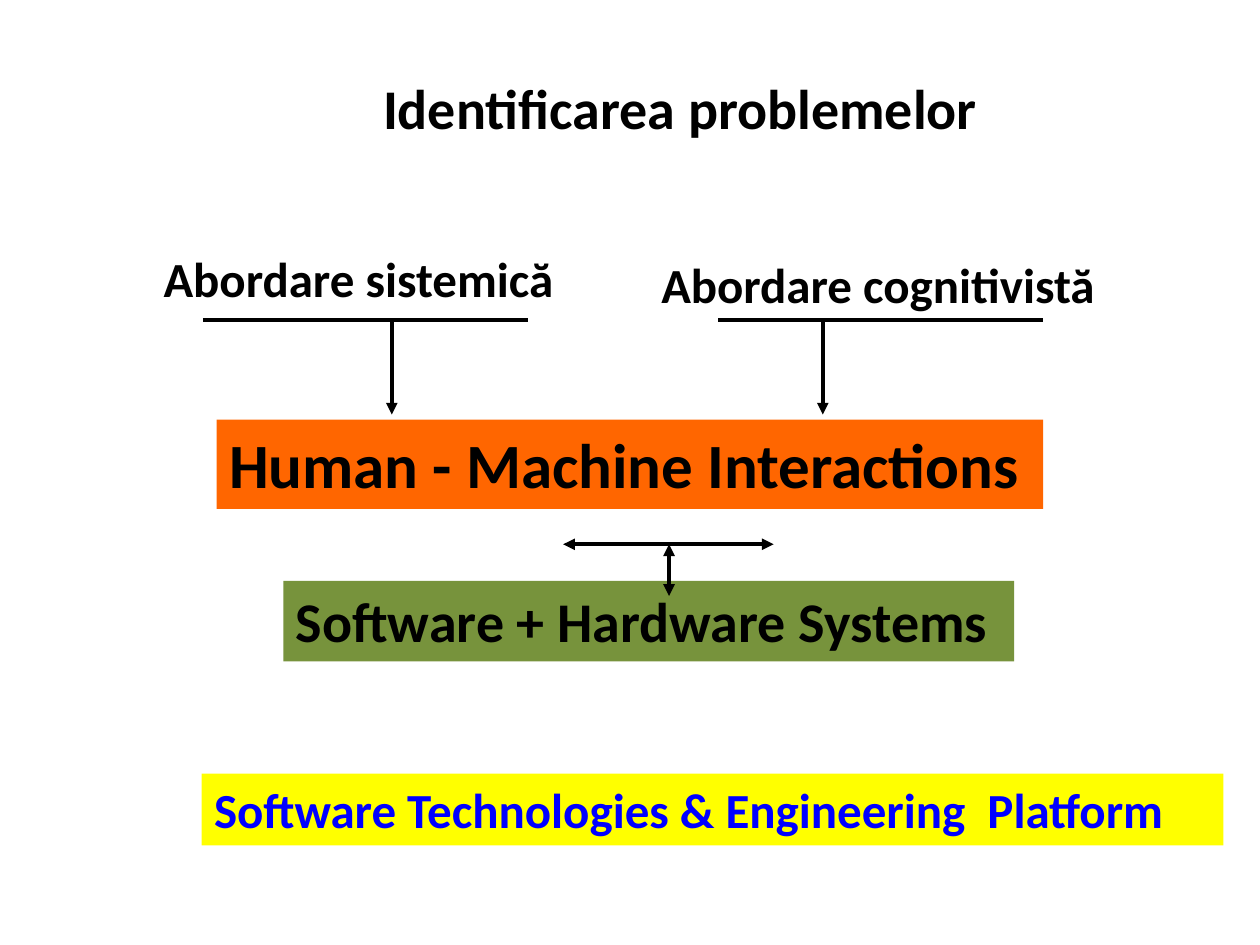
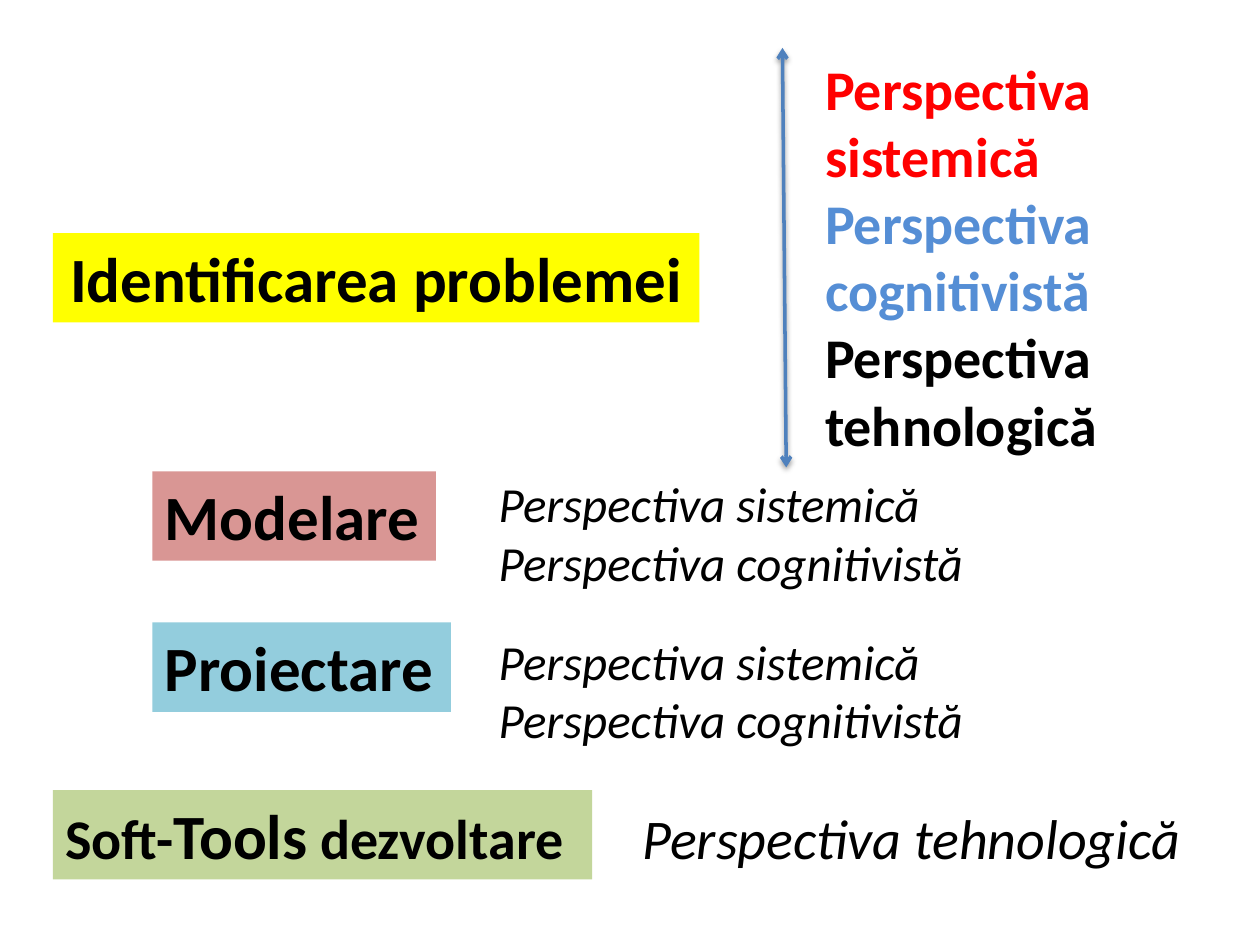
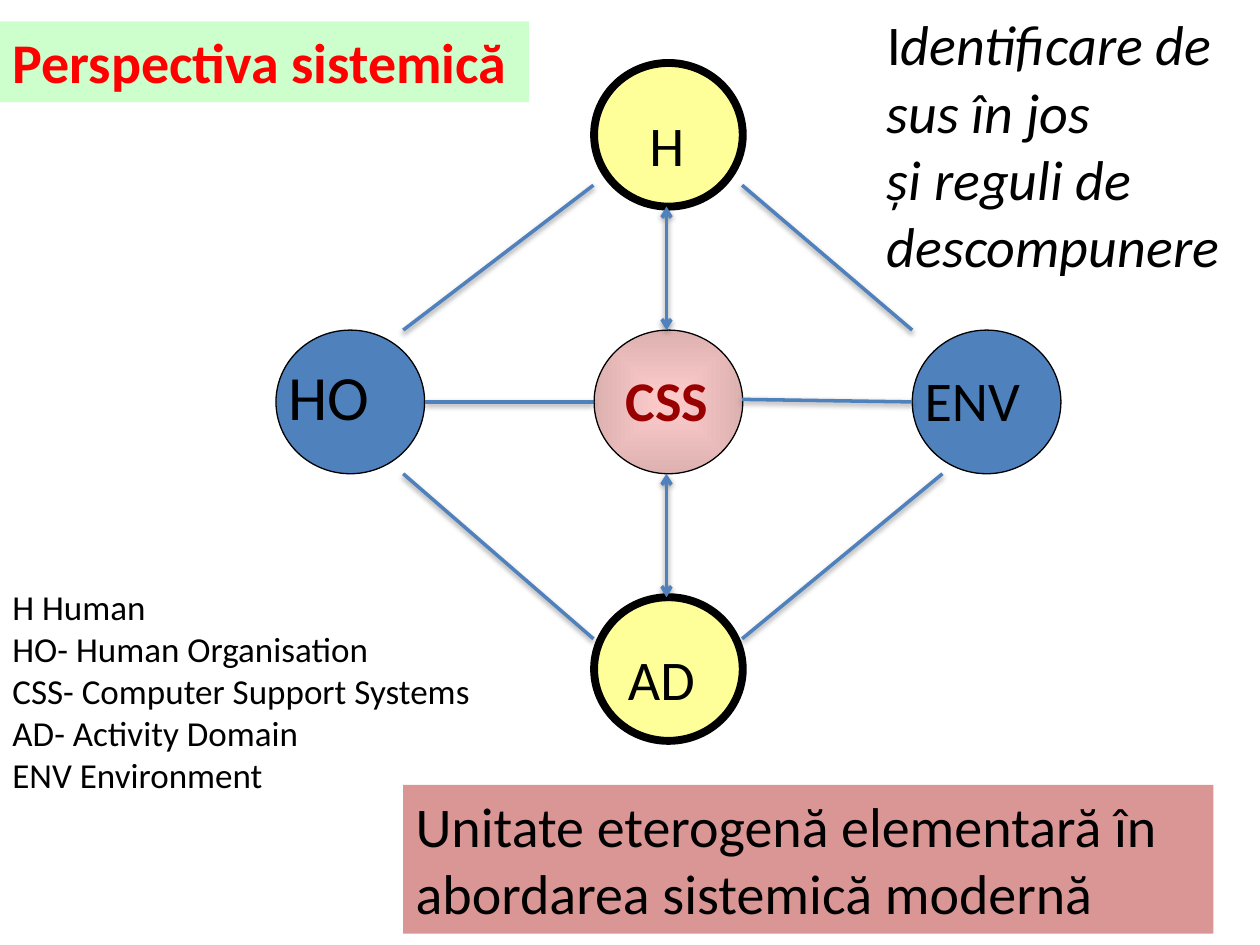
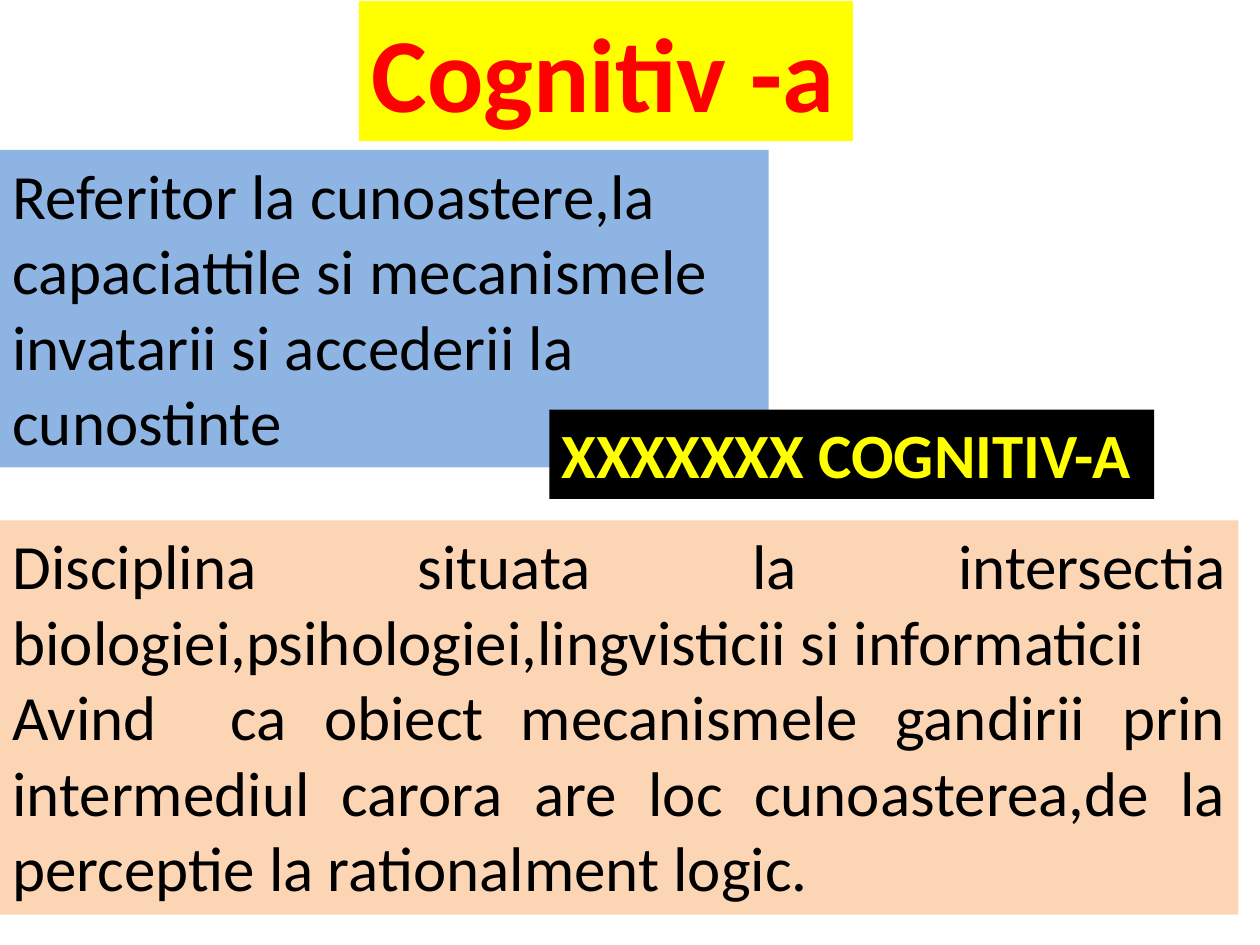
from dataclasses import dataclass

from lxml.etree import SubElement
from pptx import Presentation
from pptx.dml.color import RGBColor
from pptx.enum.shapes import MSO_CONNECTOR, MSO_SHAPE
from pptx.enum.text import MSO_ANCHOR, MSO_AUTO_SIZE, PP_ALIGN
from pptx.oxml.ns import qn
from pptx.util import Inches, Pt

FONT = "Calibri"
SLIDE_WIDTH, SLIDE_HEIGHT = Inches(10), Inches(7.5)
GRID_COLUMNS, GRID_ROWS = 100, 75
TITLE_ONLY = 5
COLORS = {
    "black": "000000", "red": "FF0000", "yellow": "FFFF00", "blue": "0000FF",
    "orange": "FF6600", "olive": "77933C", "rose": "D99694", "aqua": "93CDDD",
    "sage": "C3D69B", "sky": "558ED5", "accent": "4F81BD", "mint": "CCFFCC",
    "cream": "FFFF99", "pink": "FFCCCC", "dusty pink": "DEB1B1",
    "maroon": "990000", "pale blue": "8EB4E3", "peach": "FCD5B5",
}
SYSTEMIC = "Perspectiva sistemică"
COGNITIVE = "Perspectiva cognitivistă"
TECHNOLOGICAL = "Perspectiva tehnologică"


@dataclass
class Box:
    column: float
    row: float
    columns: float
    rows: float

    def inside(self, column, row, columns, rows):
        return Box(self.column + column, self.row + row, columns, rows)

    def point(self, column, row):
        return (int(SLIDE_WIDTH * (self.column + column) / GRID_COLUMNS),
                int(SLIDE_HEIGHT * (self.row + row) / GRID_ROWS))

    def frame(self):
        return (*self.point(0, 0),
                int(SLIDE_WIDTH * self.columns / GRID_COLUMNS),
                int(SLIDE_HEIGHT * self.rows / GRID_ROWS))


def color_of(name):
    return RGBColor.from_string(COLORS[name])


def paint(fill, color):
    fill.solid()
    fill.fore_color.rgb = color_of(color)


def write(shape, *lines, size=32, color="black", bold=False, italic=False,
          align=PP_ALIGN.LEFT, fill=None):
    if fill:
        paint(shape.fill, fill)
    text_frame = shape.text_frame
    text_frame.word_wrap = True
    text_frame.auto_size = MSO_AUTO_SIZE.NONE
    text_frame.vertical_anchor = MSO_ANCHOR.TOP
    for index, line in enumerate(lines):
        paragraph = text_frame.add_paragraph() if index else text_frame.paragraphs[0]
        paragraph.alignment = align
        for text, changes in [(line, {})] if isinstance(line, str) else line:
            run = paragraph.add_run()
            run.text = text
            run.font.name = FONT
            run.font.size = Pt(changes.get("size", size))
            run.font.bold = bold
            run.font.italic = changes.get("italic", italic)
            run.font.color.rgb = color_of(changes.get("color", color))


def add_text(slide, box, *lines, **text_format):
    write(slide.shapes.add_textbox(*box.frame()), *lines, **text_format)


def add_title_slide(presentation, box, title, **text_format):
    slide = presentation.slides.add_slide(presentation.slide_layouts[TITLE_ONLY])
    shape = slide.shapes.title
    shape.left, shape.top, shape.width, shape.height = box.frame()
    write(shape, title, bold=True, **text_format)
    return slide


def add_line(slide, start, end, color="accent", width=2, head=None, tail=None,
             shadow=True):
    connector = slide.shapes.add_connector(MSO_CONNECTOR.STRAIGHT, *start, *end)
    connector.line.color.rgb = color_of(color)
    connector.line.width = Pt(width)
    properties = connector._element.spPr
    for tag, arrow in (("a:headEnd", head), ("a:tailEnd", tail)):
        if arrow:
            SubElement(properties.find(qn("a:ln")), qn(tag), type=arrow)
    effects = SubElement(properties, qn("a:effectLst"))
    if shadow:
        outer = SubElement(effects, qn("a:outerShdw"), blurRad="40000",
                           dist="20000", dir="5400000", rotWithShape="0")
        shade = SubElement(outer, qn("a:srgbClr"), val=COLORS["black"])
        SubElement(shade, qn("a:alpha"), val="38000")


def add_circle(slide, box, fill, line_width):
    circle = slide.shapes.add_shape(MSO_SHAPE.OVAL, *box.frame())
    circle.shadow.inherit = False
    circle.line.color.rgb = color_of("black")
    circle.line.width = Pt(line_width)
    if isinstance(fill, str):
        paint(circle.fill, fill)
        return
    circle.fill.gradient()
    for stop, color in zip(circle.fill.gradient_stops, fill):
        stop.color.rgb = color_of(color)
    gradient = circle._element.spPr.find(qn("a:gradFill"))
    gradient.remove(gradient.find(qn("a:lin")))
    radial = SubElement(gradient, qn("a:path"), path="shape")
    SubElement(radial, qn("a:fillToRect"),
               dict.fromkeys(("l", "t", "r", "b"), "50000"))


def add_approaches(slide, box):
    approaches = (
        ("Abordare sistemică", box.inside(0, 0, 33.5, 5.7), 4.1, 19.1),
        ("Abordare cognitivistă", box.inside(39.5, 0.5, 37, 5.7), 45, 53.3),
    )
    line_row, arrow_row, line_columns = 6.2, 13.7, 25.8
    black_line = dict(color="black", width=2.25, shadow=False)
    for text, label_box, line_column, arrow_column in approaches:
        add_text(slide, label_box, text, size=28, bold=True)
        add_line(slide, box.point(line_column, line_row),
                 box.point(line_column + line_columns, line_row), **black_line)
        add_line(slide, box.point(arrow_column, line_row),
                 box.point(arrow_column, arrow_row), tail="triangle", **black_line)


def add_layers(slide, box):
    add_text(slide, box.inside(1.2, 0, 65.6, 7.1), "Human - Machine Interactions",
             size=36, bold=True, fill="orange")
    add_text(slide, box.inside(6.5, 12.8, 58, 6.4), "Software + Hardware Systems",
             bold=True, fill="olive")
    add_text(slide, box.inside(0, 28.1, 81.1, 5.7),
             "Software Technologies & Engineering  Platform",
             size=28, color="blue", bold=True, fill="yellow")
    for start, end in (((28.7, 9.9), (45.4, 9.9)), ((37.1, 9.9), (37.1, 14))):
        add_line(slide, box.point(*start), box.point(*end), color="black",
                 width=2.25, head="triangle", tail="triangle", shadow=False)


def add_perspectives(slide, box):
    add_text(slide, box.inside(2.4, 0, 29.7, 33.3),
             [(SYSTEMIC, {"color": "red"})], [(COGNITIVE, {"color": "sky"})],
             TECHNOLOGICAL, bold=True)
    add_line(slide, box.point(0, 0), box.point(0.3, box.rows),
             head="arrow", tail="arrow")


def add_stages(slide, box):
    stages = (("Modelare", "rose", 0.3, 22.5, 0),
              ("Proiectare", "aqua", 12.3, 23.7, 12.5))
    for name, fill, row, columns, note_row in stages:
        add_text(slide, box.inside(7.9, row, columns, 7.1), name,
                 size=36, bold=True, fill=fill)
        add_text(slide, box.inside(34.4, note_row, 39.5, 10.4),
                 SYSTEMIC, COGNITIVE, size=28, italic=True)
    add_text(slide, box.inside(0, 25.6, 42.8, 7.1),
             [("Soft-", {}), ("Tools", {"size": 36}), (" dezvoltare", {})],
             bold=True, fill="sage")
    add_text(slide, box.inside(45.8, 26.2, 46.4, 6.4), TECHNOLOGICAL, italic=True)


def add_system_network(slide, box):
    circle_columns, circle_rows = 11.8, 11.4
    column_step = (box.columns - circle_columns) / 2
    row_step = (box.rows - circle_rows) / 2
    large_label = dict(size=36)
    nodes = (
        ("H", 1, 0, "cream", 4.5, (3.4, 3.3, 5.1, 6.4), dict(fill="cream")),
        ("CSS", 1, 1, ("pink", "dusty pink"), 0.75, (1.5, 2.3, 11.8, 6.4),
         dict(color="maroon", bold=True)),
        ("HO", 0, 1, "accent", 0.75, (0, 1.7, 10.1, 7.1), large_label),
        ("ENV", 2, 1, "accent", 0.75, (0, 2.3, 11.8, 6.4), {}),
        ("AD", 1, 2, "cream", 4.5, (1.7, 3.3, 10.1, 6.4), {}),
    )
    for text, across, down, fill, line_width, label, label_format in nodes:
        node = box.inside(across * column_step, down * row_step,
                          circle_columns, circle_rows)
        add_circle(slide, node, fill, line_width)
        add_text(slide, node.inside(*label), text, **label_format)
    links = (
        ((10.1, 21.2), (25.2, 9.7), None),
        ((37, 9.7), (50.5, 21.2), None),
        ((52.9, 32.6), (37, 45.7), None),
        ((10.1, 32.6), (25.2, 45.7), None),
        ((31, 11.4), (31, 21.2), "arrow"),
        ((31, 32.6), (31, 42.4), "arrow"),
        ((11.8, 26.9), (25.2, 26.9), None),
        ((37, 26.7), (50.5, 26.9), None),
    )
    for start, end, arrow in links:
        add_line(slide, box.point(*start), box.point(*end), head=arrow, tail=arrow)


def add_system_notes(slide, box):
    add_text(slide, box.inside(32, 62.3, 64.3, 11.8),
             "Unitate eterogenă elementară în abordarea sistemică modernă",
             fill="rose")
    add_text(slide, box.inside(0, 46, 38.8, 17.8),
             "H Human", "HO- Human Organisation", "CSS- Computer Support Systems",
             "AD- Activity Domain", "ENV Environment", size=20)
    add_text(slide, box.inside(69.4, 0.3, 30.6, 22.6),
             [("I", {"italic": False}), ("dentificare de sus în jos", {})],
             "și reguli de descompunere", italic=True)


def add_definitions(slide, box):
    add_text(slide, box.inside(0, 0, 61, 25.2),
             "Referitor la cunoastere,la capaciattile si mecanismele "
             "invatarii si accederii la cunostinte", size=36, fill="pale blue")
    add_text(slide, box.inside(43.6, 20.6, 48, 7.1), "XXXXXXX COGNITIV-A",
             size=36, color="yellow", bold=True, fill="black")
    add_text(slide, box.inside(0, 29.4, 98.3, 31.3),
             "Disciplina situata la intersectia "
             "biologiei,psihologiei,lingvisticii si informaticii",
             "Avind  ca obiect mecanismele gandirii prin intermediul carora "
             "are loc cunoasterea,de la perceptie la rationalment logic.",
             size=36, align=PP_ALIGN.JUSTIFY, fill="peach")


def main():
    presentation = Presentation()
    presentation.slide_width, presentation.slide_height = SLIDE_WIDTH, SLIDE_HEIGHT

    slide = add_title_slide(presentation, Box(29.4, 5.3, 49.9, 6.4),
                            "Identificarea problemelor")
    add_approaches(slide, Box(12, 19.2, 76.5, 13.7))
    add_layers(slide, Box(16, 33.3, 81.1, 33.8))

    slide = add_title_slide(presentation, Box(4.2, 18.5, 51.3, 7.1),
                            "Identificarea problemei", size=36,
                            align=PP_ALIGN.CENTER, fill="yellow")
    add_perspectives(slide, Box(62.1, 3.8, 32.1, 33.3))
    add_stages(slide, Box(4.2, 37.1, 92.2, 32.7))

    slide = add_title_slide(presentation, Box(0, 1.7, 42, 6.4), SYSTEMIC,
                            color="red", fill="mint")
    add_system_network(slide, Box(21.9, 5, 62.3, 53.8))
    add_system_notes(slide, Box(0, 0, GRID_COLUMNS, GRID_ROWS))

    slide = add_title_slide(presentation, Box(28.5, 0.1, 39.2, 11.1), "Cognitiv -a",
                            size=60, color="red", fill="yellow")
    add_definitions(slide, Box(0, 11.9, 98.3, 60.7))

    presentation.save("out.pptx")


if __name__ == "__main__":
    main()
